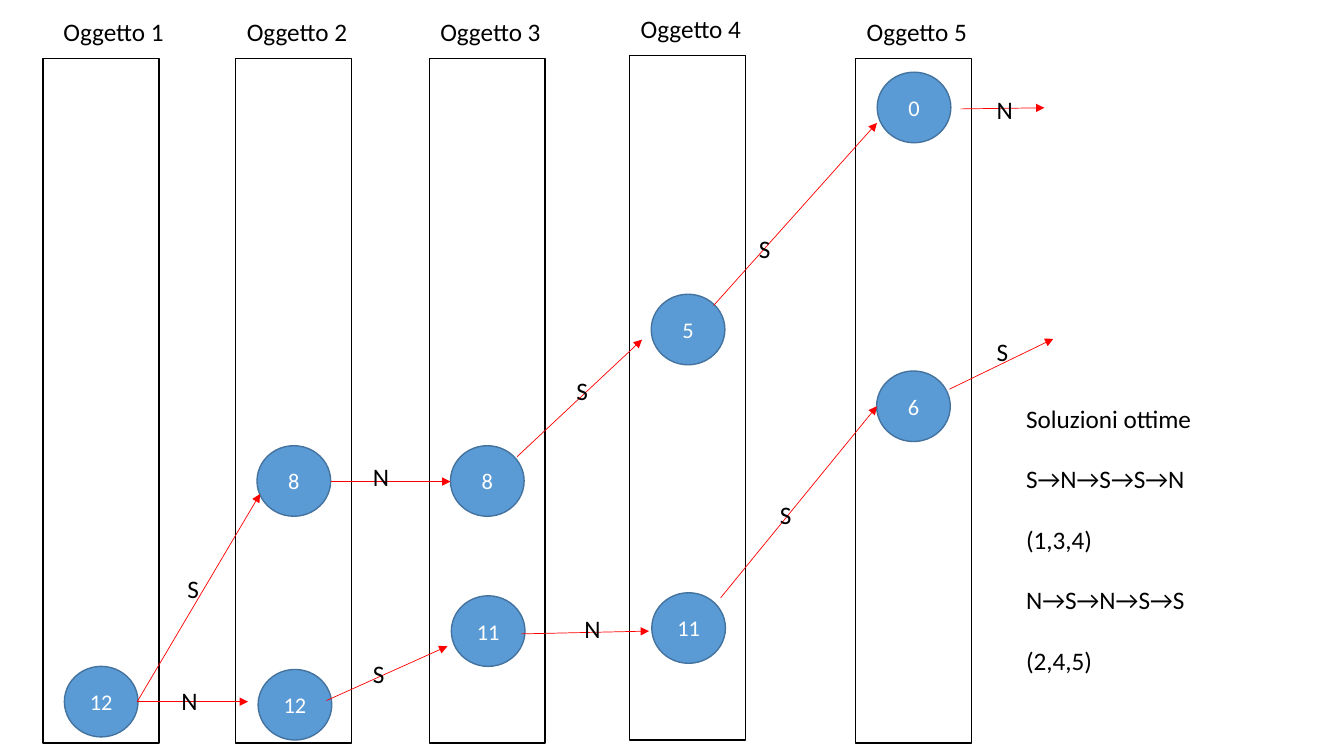
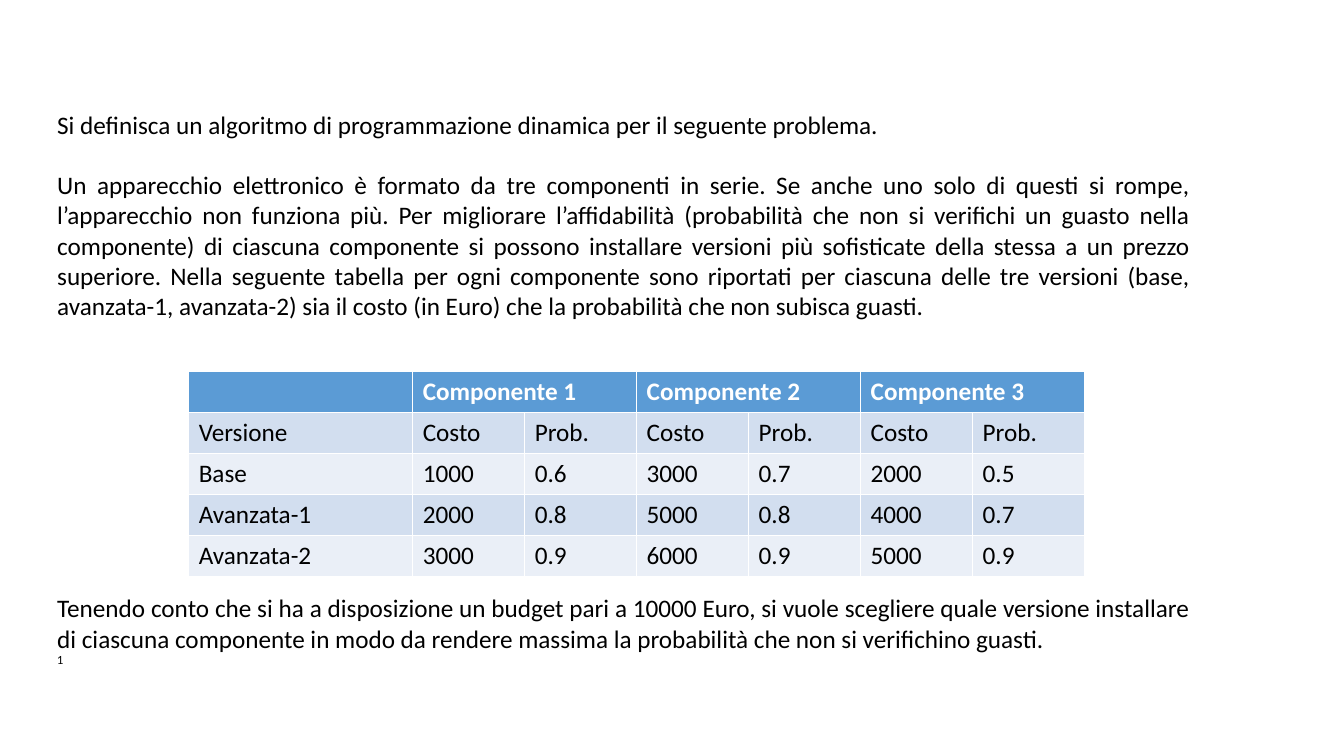
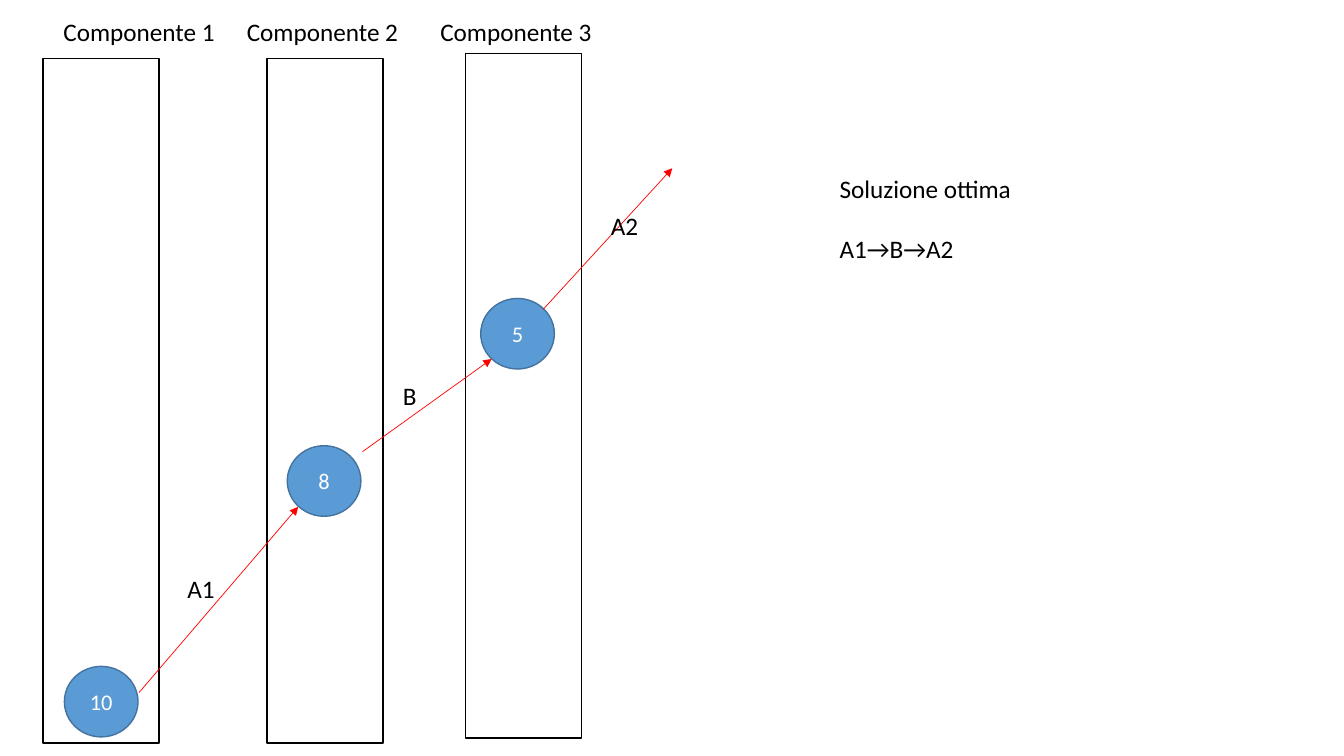
from lxml import etree
from pptx import Presentation
from pptx.dml.color import RGBColor
from pptx.enum import shapes, text
from pptx.oxml import ns
from pptx.util import Pt

FONT = "Calibri"
BODY_SIZE = 18
BLANK_LINE = 21.6
COLORS = {
    "black": "000000",
    "white": "FFFFFF",
    "blue": "5B9BD5",
    "outline": "43739E",
    "arrow": "FF0000",
    "band_dark": "D2DEEF",
    "band_light": "EAEFF7",
}


def color(name):
    return RGBColor.from_string(COLORS[name])


class Deck:
    """Holds the shared style and the slide being drawn."""

    COLUMN_SIZE = (82.8, 488.9)
    NODE_SIZE = (52.6, 50.4)
    LABEL_HEIGHT = 29.1
    LABEL_WIDTHS = {"S": 23, "N": 26, "B": 24.5, "A1": 34.6, "A2": 34.6}

    def __init__(self):
        self.presentation = Presentation()
        self.presentation.slide_width = Pt(960)
        self.presentation.slide_height = Pt(540)
        self.slide = None

    def new_slide(self):
        self.slide = self.presentation.slides.add_slide(self.presentation.slide_layouts[6])

    def style(self, paragraph, size=BODY_SIZE, ink="black", bold=False, name=FONT):
        paragraph.font.name = name
        paragraph.font.size = Pt(size)
        paragraph.font.bold = bold
        paragraph.font.color.rgb = color(ink)

    def shape(self, kind, left, top, size, outline, fill=None):
        shape = self.slide.shapes.add_shape(kind, *map(Pt, (left, top, *size)))
        shape.shadow.inherit = False
        shape.line.color.rgb = color(outline)
        shape.line.width = Pt(1)
        if fill:
            shape.fill.solid()
            shape.fill.fore_color.rgb = color(fill)
        else:
            shape.fill.background()
        return shape

    def text(self, left, top, width, height, lines, wrap=False):
        """Add a text box with one paragraph per line and return its paragraphs."""
        box = self.slide.shapes.add_textbox(*map(Pt, (left, top, width, height)))
        frame = box.text_frame
        frame.word_wrap = wrap
        frame.auto_size = text.MSO_AUTO_SIZE.SHAPE_TO_FIT_TEXT
        frame.text = "\n".join(lines)
        for index, paragraph in enumerate(frame.paragraphs):
            self.style(paragraph)
            if index:
                paragraph.space_before = Pt(BLANK_LINE)
        return frame.paragraphs

    def column(self, title, left, top, title_left, title_top, title_width):
        self.shape(shapes.MSO_SHAPE.RECTANGLE, left, top, self.COLUMN_SIZE, "black")
        self.text(title_left, title_top, title_width, self.LABEL_HEIGHT, [title])

    def node(self, value, left, top):
        shape = self.shape(shapes.MSO_SHAPE.OVAL, left, top, self.NODE_SIZE, "outline", "blue")
        frame = shape.text_frame
        frame.text = value
        frame.vertical_anchor = text.MSO_ANCHOR.MIDDLE
        frame.paragraphs[0].alignment = text.PP_ALIGN.CENTER
        self.style(frame.paragraphs[0], 16, "white")

    def arrow(self, *ends):
        connector = self.slide.shapes.add_connector(
            shapes.MSO_CONNECTOR.STRAIGHT, *map(Pt, ends))
        connector.line.color.rgb = color("arrow")
        connector.line.width = Pt(0.5)
        properties = connector._element.spPr
        line = properties.find(ns.qn("a:ln"))
        etree.SubElement(line, ns.qn("a:tailEnd"), type="triangle")
        etree.SubElement(properties, ns.qn("a:effectLst"))

    def choice(self, label, left, top):
        self.text(left, top, self.LABEL_WIDTHS[label], self.LABEL_HEIGHT, [label])

    def graph(self, title, title_width, columns, nodes, arrows, choices):
        """Draw numbered columns, their nodes, and the labelled arrows between them."""
        for number, place in enumerate(columns, 1):
            self.column(f"{title} {number}", *place, title_width)
        for node in nodes:
            self.node(*node)
        for arrow in arrows:
            self.arrow(*arrow)
        for choice in choices:
            self.choice(*choice)

    def table(self, left, top, widths, row_height, rows):
        """Add a banded table; None in a row merges the cell with the one before."""
        frame = self.slide.shapes.add_table(
            len(rows), len(widths), Pt(left), Pt(top),
            Pt(sum(widths)), Pt(row_height * len(rows)))
        table = frame.table
        for column, width in zip(table.columns, widths):
            column.width = Pt(width)
        for row_index, row in enumerate(rows):
            header = row_index == 0
            band = "blue" if header else ("band_light", "band_dark")[row_index % 2]
            for column_index, value in enumerate(row):
                cell = table.cell(row_index, column_index)
                cell.fill.solid()
                cell.fill.fore_color.rgb = color(band)
                if value is None:
                    table.cell(row_index, column_index - 1).merge(cell)
                    continue
                cell.text = value
                self.style(cell.text_frame.paragraphs[0],
                           ink="white" if header else "black", bold=header)


def objects_slide(deck):
    deck.new_slide()
    deck.graph(
        "Oggetto", 87.1,
        columns=[(30.8, 41.8, 38.2, 7.9), (168.4, 41.8, 169.2, 7.9),
                 (306.6, 41.8, 307.4, 7.9), (449.8, 39.6, 450.6, 5.8),
                 (611.2, 41.8, 612, 7.9)],
        nodes=[("12", 46, 476), ("12", 184.4, 478.2), ("8", 183.6, 318.4),
               ("11", 322.4, 425.6), ("8", 321.8, 318.4), ("11", 465.6, 423.4),
               ("5", 465.2, 210.2), ("6", 626.2, 265), ("0", 626.6, 51.6)],
        arrows=[(98, 501.2, 185.8, 352.8), (98, 501.2, 177.2, 501.2),
                (236.2, 344, 321.8, 344), (233.2, 500.4, 319.6, 461.6),
                (372.2, 452.8, 463.6, 450.8), (369.4, 326.2, 458.6, 242.6),
                (509.8, 218.2, 626.4, 87.8), (514.8, 427, 626.4, 290.2),
                (686.2, 77.8, 746, 77), (678.2, 278, 752.4, 242)],
        choices=[("S", 126.8, 406.2), ("N", 122.4, 486), ("S", 259.2, 466.6),
                 ("N", 259.2, 326.2), ("S", 404.6, 264.2), ("N", 410.4, 434.2),
                 ("S", 535, 163.4), ("S", 550, 352.8), ("N", 704.8, 64),
                 ("S", 704.8, 236.8)])
    deck.text(725.8, 284.4, 137.5, 203.8, [
        "Soluzioni ottime", "S→N→S→S→N", "(1,3,4)", "N→S→N→S→S", "(2,4,5)"])


def problem_slide(deck):
    deck.new_slide()
    paragraphs = deck.text(33.8, 74.2, 823.7, 452.9, [
        "Si definisca un algoritmo di programmazione dinamica per il seguente problema.",
        "Un apparecchio elettronico è formato da tre componenti in serie. Se anche uno solo "
        "di questi si rompe, l’apparecchio non funziona più. Per migliorare l’affidabilità "
        "(probabilità che non si verifichi un guasto nella componente) di ciascuna componente "
        "si possono installare versioni più sofisticate della stessa a un prezzo superiore. "
        "Nella seguente tabella per ogni componente sono riportati per ciascuna delle tre "
        "versioni (base, avanzata-1, avanzata-2) sia il costo (in Euro) che la probabilità "
        "che non subisca guasti.",
        "Tenendo conto che si ha a disposizione un budget pari a 10000 Euro, si vuole "
        "scegliere quale versione installare di ciascuna componente in modo da rendere "
        "massima la probabilità che non si verifichino guasti.",
        "1",
    ], wrap=True)
    *body, note = paragraphs
    for paragraph in body:
        paragraph.alignment = text.PP_ALIGN.JUSTIFY
    body[-1].space_before = Pt(9 * BLANK_LINE)
    note.space_before = Pt(0)
    deck.style(note, size=8, name="Lato")

    deck.table(134.8, 265.6, [160] + [80] * 6, 29.2, [
        ["", "Componente 1", None, "Componente 2", None, "Componente 3", None],
        ["Versione"] + ["Costo", "Prob."] * 3,
        ["Base", "1000", "0.6", "3000", "0.7", "2000", "0.5"],
        ["Avanzata-1", "2000", "0.8", "5000", "0.8", "4000", "0.7"],
        ["Avanzata-2", "3000", "0.9", "6000", "0.9", "5000", "0.9"],
    ])


def components_slide(deck):
    deck.new_slide()
    deck.graph(
        "Componente", 123.8,
        columns=[(30.8, 41.8, 38.2, 7.9), (190.8, 41.8, 169.2, 7.9),
                 (332.4, 38.2, 307.4, 7.9)],
        nodes=[("10", 46, 476), ("8", 205.2, 318.4), ("5", 343.4, 213.2)],
        arrows=[(99.4, 494.6, 213, 362), (259, 322.6, 351.2, 256.4),
                (388, 221, 480.2, 120.2)],
        choices=[("A1", 126.8, 406.2), ("B", 280.8, 268.4), ("A2", 429.2, 146.8)])
    deck.text(592.6, 120.2, 139, 94.3, ["Soluzione ottima", "A1→B→A2"])


def main():
    deck = Deck()
    objects_slide(deck)
    problem_slide(deck)
    components_slide(deck)
    deck.presentation.save("out.pptx")


if __name__ == "__main__":
    main()
